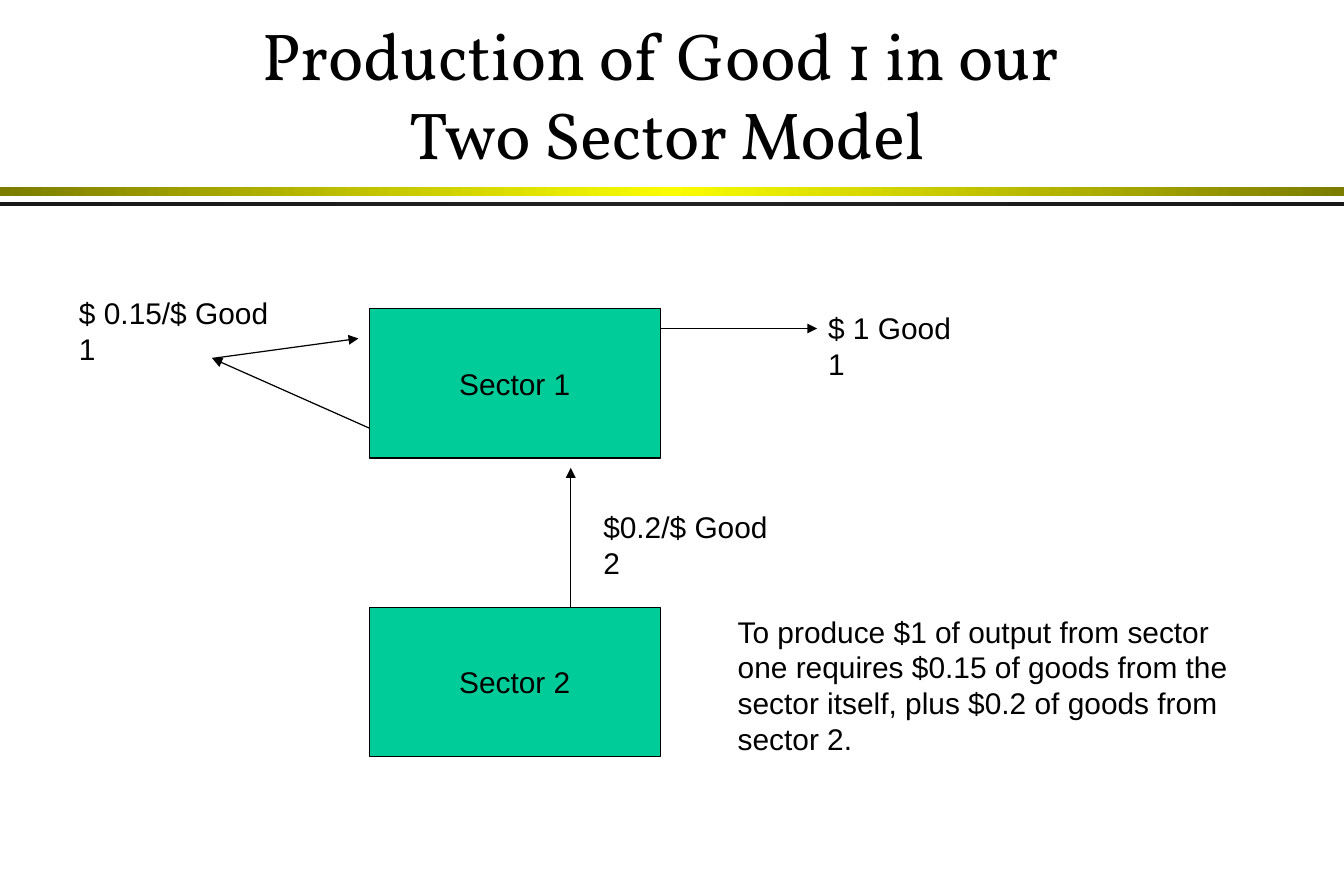
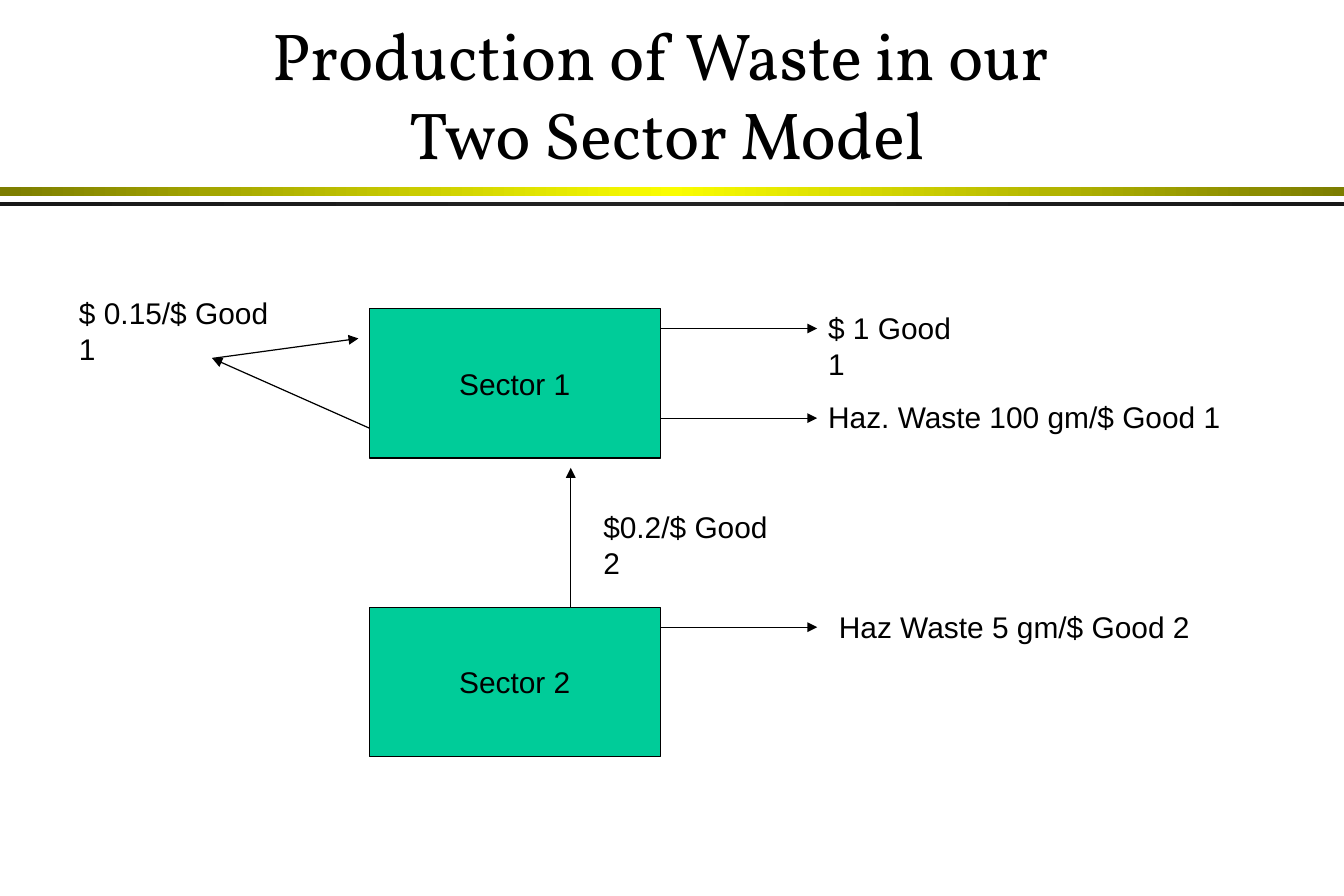
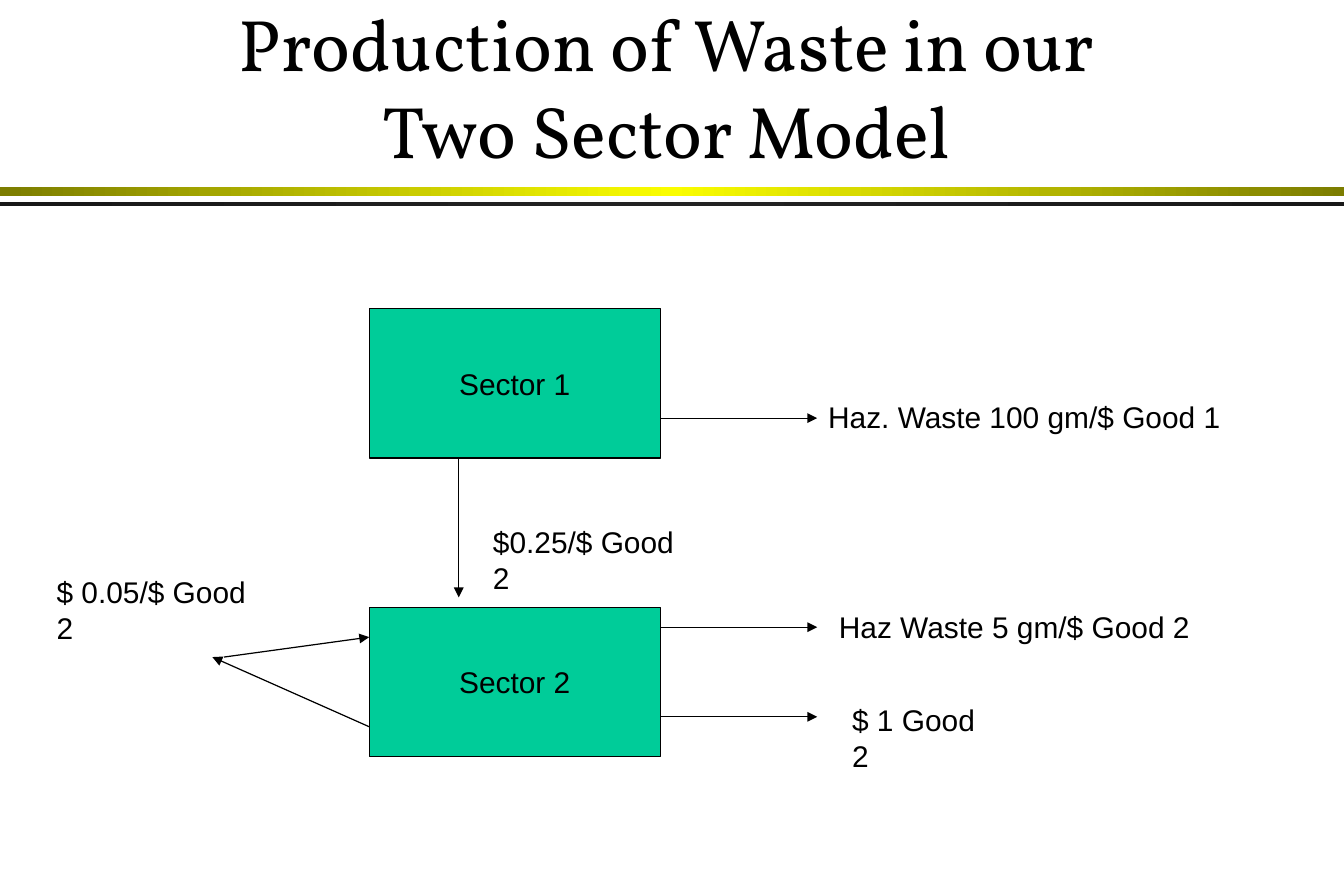
from copy import deepcopy
from dataclasses import dataclass

from pptx import Presentation
from pptx.dml.color import RGBColor
from pptx.enum.shapes import MSO_CONNECTOR, MSO_SHAPE
from pptx.enum.text import MSO_ANCHOR, MSO_AUTO_SIZE, PP_ALIGN
from pptx.oxml.ns import qn
from pptx.util import Pt


@dataclass(frozen=True)
class Theme:
    ink: RGBColor = RGBColor.from_string("000000")
    sector: RGBColor = RGBColor.from_string("00CC99")
    gold_edge: RGBColor = RGBColor.from_string("7C7D00")
    gold_middle: RGBColor = RGBColor.from_string("FAFD00")
    dark_edge: RGBColor = RGBColor.from_string("181818")
    dark_middle: RGBColor = RGBColor.from_string("232323")
    title_font: str = "Vollkorn"
    body_font: str = "Arial"
    title_size: int = 40
    large_title_size: int = 44
    body_size: int = 18
    line_width: float = 0.75


THEME = Theme()


def add_span(para, text, font, size):
    span = para.add_run()
    span.text = text
    span.font.name = font
    span.font.size = Pt(size)
    span.font.color.rgb = THEME.ink


def add_arrow(page, x1, y1, x2, y2):
    arrow = page.shapes.add_connector(
        MSO_CONNECTOR.STRAIGHT, Pt(x1), Pt(y1), Pt(x2), Pt(y2))
    arrow.line.color.rgb = THEME.ink
    arrow.line.width = Pt(THEME.line_width)
    properties = arrow.element.spPr
    head = properties.find(qn("a:ln")).makeelement(qn("a:tailEnd"), {"type": "triangle"})
    properties.find(qn("a:ln")).append(head)
    properties.append(properties.makeelement(qn("a:effectLst"), {}))


# Sector boxes and the arrows that touch them
LEFT, WIDTH, HEIGHT = 222.5, 175.5, 90
RIGHT = LEFT + WIDTH
SECTOR_TOPS = {"Sector 1": 186, "Sector 2": 366}
BOTTOM_1, TOP_2 = SECTOR_TOPS["Sector 1"] + HEIGHT, SECTOR_TOPS["Sector 2"]
OUTPUT_END = 492.5
LOOP_X = 128
LABEL_HEIGHT = 28.8

# Arrows: x1, y1, x2, y2
upper_out, lower_out, second_upper_out, second_lower_out = [
    (RIGHT, y, OUTPUT_END, y) for y in (198, 252, 378, 432)]
loop_1 = [(LEFT, 258, LOOP_X, 216), (LOOP_X, 216, 216, 204)]
loop_2 = [(LEFT, 438, LOOP_X, 396), (LOOP_X + 7, 396, LEFT, 384)]
supply_1 = (344, TOP_2, 344, BOTTOM_1 + 6)
supply_2 = (276.5, BOTTOM_1, 276.5, TOP_2 - 6)

# Labels: text, left, top, width
good_1_labels = [
    ("$ 1 Good 1", 492, 183, 103),
    ("$0.2/$ Good 2", 356.5, 303, 128),
    ("$ 0.15/$ Good 1", 40.5, 174, 143),
]
waste_labels = [
    ("Haz. Waste 100 gm/$ Good 1", 492, 237, 251),
    ("Haz Waste 5 gm/$ Good 2", 498.5, 363, 226),
]
good_2_labels = [
    ("$ 1 Good 2", 506.5, 419.5, 103),
    ("$0.25/$ Good 2", 290, 312, 138),
    ("$ 0.05/$ Good 2", 27, 342, 143),
]
good_1_arrows = [supply_1, upper_out, *loop_1]
waste_arrows = [lower_out, second_upper_out]

# Pages: title lines, title size, arrows, labels, explanation
pages = [
    (["Production of Good 1 in our ", "Two Sector Model"], THEME.title_size,
     good_1_arrows, good_1_labels,
     "To produce $1 of output from sector one requires $0.15 of goods from "
     "the sector itself, plus $0.2 of goods from sector 2."),
    (["Production of Waste in our ", "Two Sector Model"], THEME.title_size,
     good_1_arrows + waste_arrows, good_1_labels + waste_labels, None),
    (["Production of Waste in our Two Sector Model"], THEME.large_title_size,
     [second_lower_out, supply_2, *loop_2] + waste_arrows,
     good_2_labels + waste_labels, None),
]

deck = Presentation()
deck.slide_width, deck.slide_height = Pt(810), Pt(540)

# Shared layout: title place and the two bands under it
layout = deck.slide_layouts.get_by_name("Title Only")
for holder in list(layout.placeholders):
    if holder.placeholder_format.idx != 0:
        holder.element.getparent().remove(holder.element)
layout_title = layout.placeholders[0]
layout_title.left, layout_title.top = Pt(93), Pt(18)
layout_title.width, layout_title.height = Pt(618), Pt(90)
layout_title.text_frame.vertical_anchor = MSO_ANCHOR.BOTTOM
layout_title.text_frame.auto_size = MSO_AUTO_SIZE.NONE

slides = [deck.slides.add_slide(layout) for _ in pages]

bands = []
for top, height, edge, middle in (
        (112.5, 5.5, THEME.gold_edge, THEME.gold_middle),
        (121.5, 3, THEME.dark_edge, THEME.dark_middle)):
    band = slides[0].shapes.add_shape(
        MSO_SHAPE.RECTANGLE, Pt(0), Pt(top), Pt(810), Pt(height))
    band.shadow.inherit = False
    band.line.fill.background()
    band.fill.gradient()
    band.fill.gradient_angle = 0
    stop_list = band.element.spPr.find(".//" + qn("a:gsLst"))
    stop_list.insert(1, deepcopy(stop_list[0]))
    for stop, position, color in zip(
            band.fill.gradient_stops, (0, 0.5, 1), (edge, middle, edge)):
        stop.position = position
        stop.color.rgb = color
    bands.append(band)
for band in bands:
    layout.shapes.element.append(band.element)

for page, (title_lines, title_size, arrows, labels, explanation) in zip(slides, pages):
    para = page.shapes.title.text_frame.paragraphs[0]
    para.alignment = PP_ALIGN.CENTER
    for number, line in enumerate(title_lines):
        if number:
            para.add_line_break()
        add_span(para, line, THEME.title_font, title_size)

    for name, top in SECTOR_TOPS.items():
        box = page.shapes.add_shape(
            MSO_SHAPE.RECTANGLE, Pt(LEFT), Pt(top), Pt(WIDTH), Pt(HEIGHT))
        box.shadow.inherit = False
        box.fill.solid()
        box.fill.fore_color.rgb = THEME.sector
        box.line.color.rgb = THEME.ink
        box.line.width = Pt(THEME.line_width)
        box.text_frame.word_wrap = False
        box.text_frame.vertical_anchor = MSO_ANCHOR.MIDDLE
        para = box.text_frame.paragraphs[0]
        para.alignment = PP_ALIGN.CENTER
        add_span(para, name, THEME.body_font, THEME.body_size)

    for arrow in arrows:
        add_arrow(page, *arrow)

    texts = [(*label, LABEL_HEIGHT, False) for label in labels]
    if explanation:
        texts.append((explanation, 437.5, 366, 320, 94, True))
    for text, left, top, width, height, wraps in texts:
        box = page.shapes.add_textbox(Pt(left), Pt(top), Pt(width), Pt(height))
        box.text_frame.word_wrap = wraps
        box.text_frame.auto_size = MSO_AUTO_SIZE.SHAPE_TO_FIT_TEXT
        add_span(box.text_frame.paragraphs[0], text, THEME.body_font, THEME.body_size)

deck.save("out.pptx")
